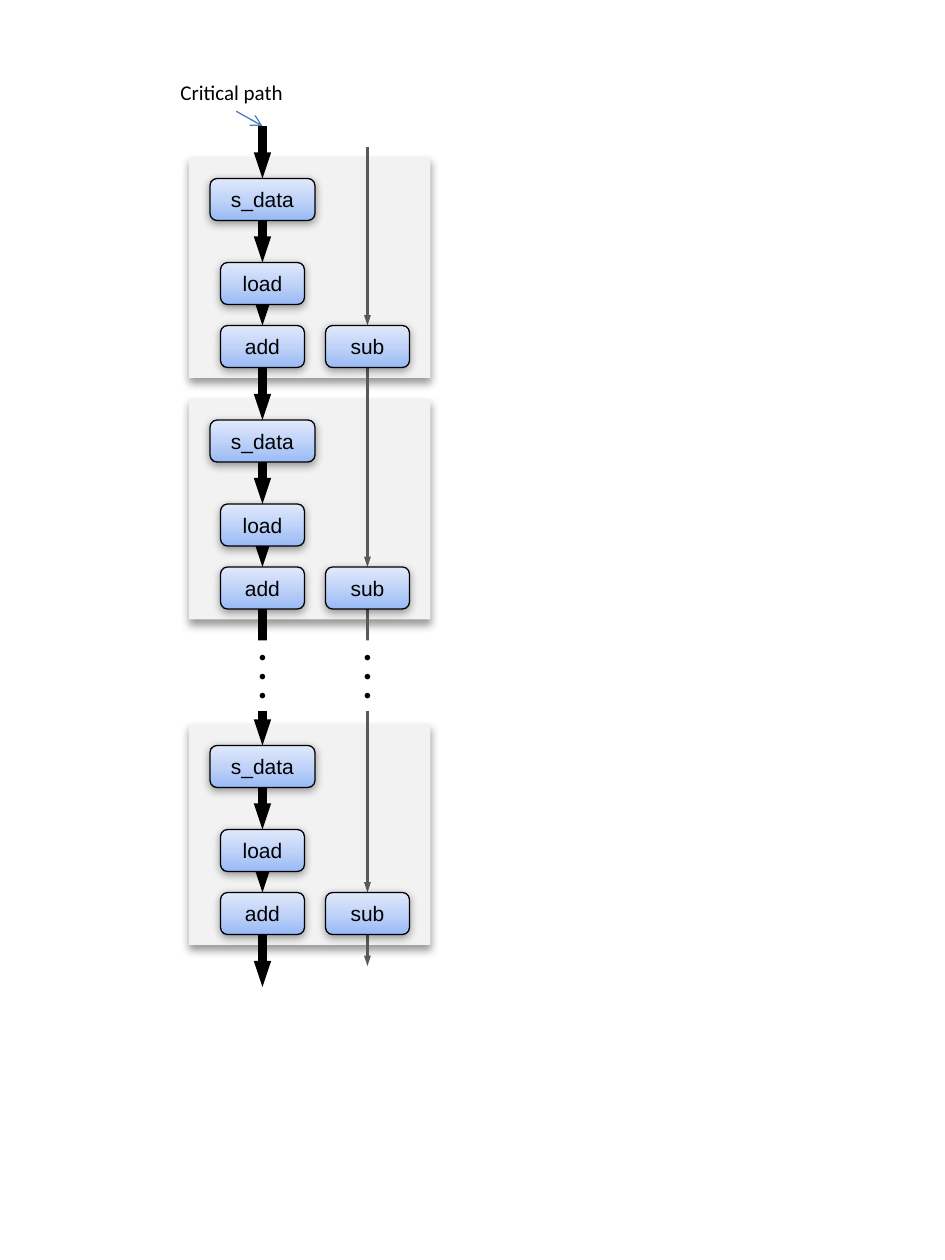
from copy import deepcopy
from typing import NamedTuple

from lxml.etree import SubElement
from pptx import Presentation
from pptx.dml.color import RGBColor
from pptx.enum.shapes import MSO_CONNECTOR, MSO_SHAPE
from pptx.enum.text import MSO_ANCHOR, PP_ALIGN
from pptx.oxml.ns import qn
from pptx.util import Inches, Pt

COLS, ROWS = 90, 120
PATH_X, SUB_X = 25, 35
PANEL_ROWS = (15, 38, 69)
BOX_H = 4
STOPS = ((0, "98BAF6"), (0.5, "C0D3F8"), (1, "E0E9FB"))


class Node(NamedTuple):
    """A labelled step: centre column, row below the panel top, width."""
    text: str
    x: float
    row: float
    w: float


class Arrow(NamedTuple):
    """A line between two grid points."""
    x1: float
    y1: float
    x2: float
    y2: float


class Stroke(NamedTuple):
    """Line look: colour, points, head type and head width."""
    color: str
    width: float
    head: str
    head_w: str


NODES = (Node("s_data", PATH_X, 2, 10), Node("load", PATH_X, 10, 8),
         Node("add", PATH_X, 16, 8), Node("sub", SUB_X, 16, 8))
CRITICAL = Stroke("000000", 5, "triangle", "sm")
PLAIN = Stroke("595959", 1.5, "triangle", "sm")
POINTER = Stroke("4B7EBC", 0.75, "arrow", "med")

prs = Presentation()
prs.slide_width, prs.slide_height = Inches(7.5), Inches(10)
s = prs.slides.add_slide(prs.slide_layouts[6])


def rgb(color: str) -> RGBColor:
    """Turn a hex string into a colour."""
    return RGBColor.from_string(color)


def gx(col: float) -> int:
    """Length of a number of grid columns."""
    return round(prs.slide_width * col / COLS)


def gy(row: float) -> int:
    """Length of a number of grid rows."""
    return round(prs.slide_height * row / ROWS)


def write(sp, lines: list[str], font: str, size: float, align: PP_ALIGN) -> None:
    """Fill a shape with one paragraph per line."""
    tf = sp.text_frame
    for i, line in enumerate(lines):
        p = tf.paragraphs[0] if i == 0 else tf.add_paragraph()
        p.alignment = align
        r = p.add_run()
        r.text = line
        r.font.color.rgb = rgb("000000")
        for key, value in {"name": font, "size": Pt(size)}.items():
            setattr(r.font, key, value)


def block(kind: MSO_SHAPE, x: float, y: float, w: float, h: float, fill: str):
    """Add a plain shape without line or shadow."""
    sp = s.shapes.add_shape(kind, gx(x), gy(y), gx(w), gy(h))
    sp.shadow.inherit = False
    sp.fill.solid()
    sp.fill.fore_color.rgb = rgb(fill)
    sp.line.fill.background()
    return sp


def cast(sp, alpha: int, dist: float) -> None:
    """Give a shape a soft shadow straight below it."""
    effects = sp._element.spPr.find(qn("a:effectLst"))
    shadow = SubElement(effects, qn("a:outerShdw"), blurRad=str(Pt(5)), dist=str(Pt(dist)),
                        dir="5400000", rotWithShape="0")
    color = SubElement(shadow, qn("a:srgbClr"), val="000000")
    SubElement(color, qn("a:alpha"), val=str(alpha * 1000))


def node(n: Node, top: float) -> None:
    """Draw a step box inside the panel that starts at row top."""
    sp = block(MSO_SHAPE.ROUNDED_RECTANGLE, n.x - n.w / 2, top + n.row, n.w, BOX_H, "FFFFFF")
    sp.fill.gradient()
    sp.fill.gradient_angle = 90
    stops = sp._element.spPr.find(".//" + qn("a:gsLst"))
    stops.append(deepcopy(stops[0]))
    for stop, (position, color) in zip(sp.fill.gradient_stops, STOPS):
        stop.position = position
        stop.color.rgb = rgb(color)
    sp.line.color.rgb = rgb("000000")
    sp.line.width = Pt(0.75)
    cast(sp, 38, 1.6)
    sp.text_frame.vertical_anchor = MSO_ANCHOR.MIDDLE
    write(sp, [n.text], "Arial", 12, PP_ALIGN.CENTER)


def arrow(a: Arrow, stroke: Stroke) -> None:
    """Draw an arrow with the given stroke."""
    c = s.shapes.add_connector(MSO_CONNECTOR.STRAIGHT, gx(a.x1), gy(a.y1), gx(a.x2), gy(a.y2))
    c.line.color.rgb = rgb(stroke.color)
    c.line.width = Pt(stroke.width)
    SubElement(c.line._get_or_add_ln(), qn("a:tailEnd"), type=stroke.head,
               w=stroke.head_w, len="med")
    SubElement(c._element.spPr, qn("a:effectLst"))


def chain(x: float, stops: list[float], stroke: Stroke) -> None:
    """Join consecutive pairs of rows in one column."""
    for y1, y2 in zip(stops[::2], stops[1::2]):
        arrow(Arrow(x, y1, x, y2), stroke)


def edges(x: float, first: float, last: float) -> list[float]:
    """List the rows where the arrows of a column start and end."""
    rows = [top + n.row for top in PANEL_ROWS for n in NODES if n.x == x]
    return [first, *(y for row in rows for y in (row, row + BOX_H)), last]


def main() -> None:
    """Build the slide."""
    for top in PANEL_ROWS:
        cast(block(MSO_SHAPE.RECTANGLE, 18, top, 23, 21, "F2F2F2"), 40, 3)
    chain(SUB_X, edges(SUB_X, 14, 92), PLAIN)
    chain(PATH_X, edges(PATH_X, 12, 94), CRITICAL)
    for top in PANEL_ROWS:
        for n in NODES:
            node(n, top)
    for x in (PATH_X, SUB_X):
        sp = block(MSO_SHAPE.RECTANGLE, x - 2, 61, 4, 6.7, "FFFFFF")
        sp.text_frame.vertical_anchor = MSO_ANCHOR.TOP
        write(sp, ["•"] * 3, "Calibri", 9, PP_ALIGN.CENTER)
    label = s.shapes.add_textbox(gx(16), gy(7), gx(13.1), gy(3.6))
    label.text_frame.word_wrap = False
    write(label, ["Critical path"], "Calibri", 12, PP_ALIGN.LEFT)
    arrow(Arrow(22.5, 10.6, PATH_X, 12), POINTER)
    prs.save("out.pptx")


if __name__ == "__main__":
    main()
